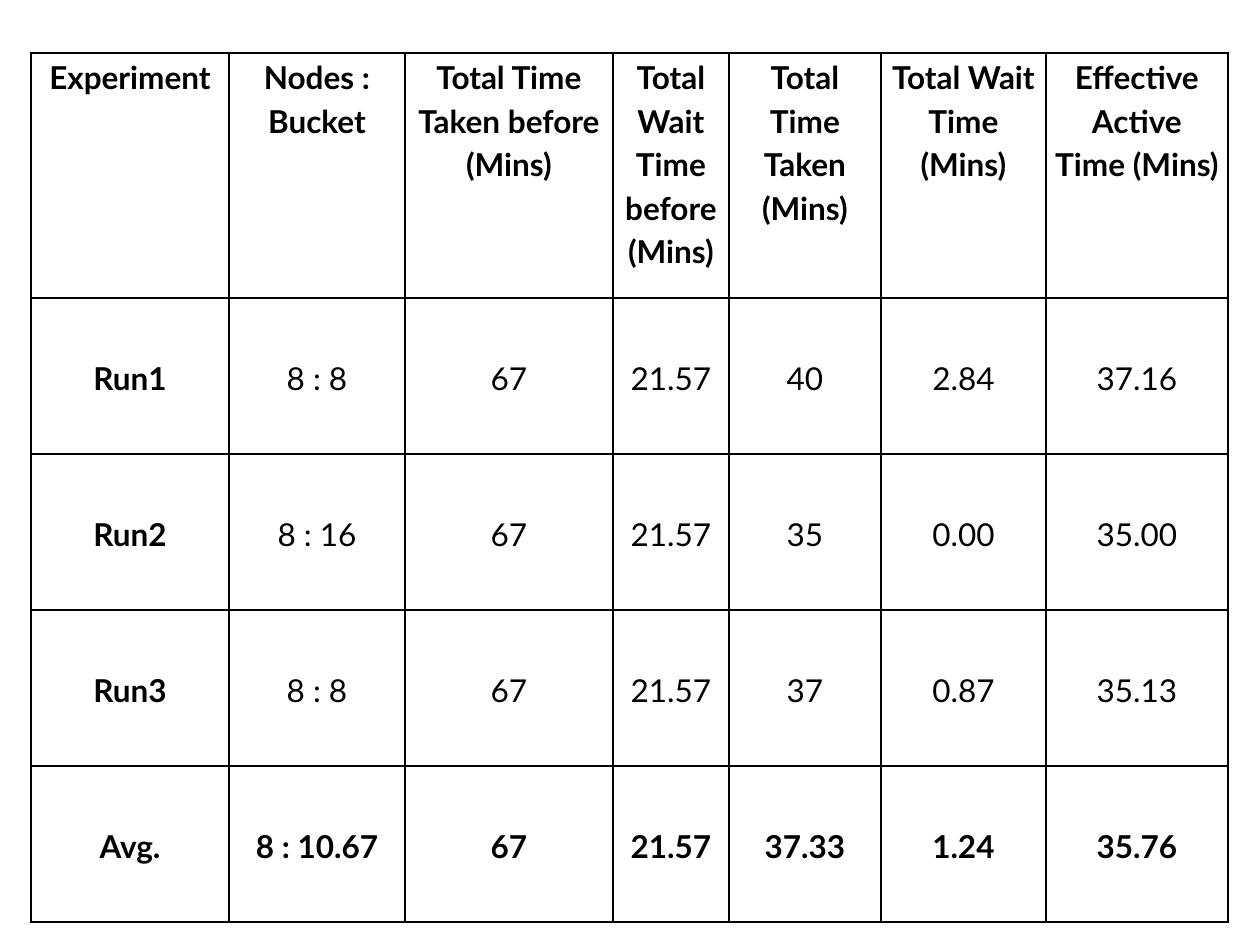
from dataclasses import dataclass

from lxml.etree import SubElement
from pptx import Presentation
from pptx.dml.color import RGBColor
from pptx.enum.text import MSO_ANCHOR as Anchor, PP_ALIGN as Align
from pptx.oxml.ns import qn
from pptx.util import Emu, Pt

HEADINGS = [
    ["Experiment"],
    ["Nodes : Bucket"],
    ["Total Time Taken before", "(Mins)"],
    ["Total Wait Time", "before", "(Mins)"],
    ["Total Time Taken", "(Mins)"],
    ["Total Wait Time", "(Mins)"],
    ["Effective Active Time (Mins)"],
]
RUNS = [
    ["Run1", "8 : 8", "67", "21.57", "40", "2.84", "37.16"],
    ["Run2", "8 : 16", "67", "21.57", "35", "0.00", "35.00"],
    ["Run3", "8 : 8", "67", "21.57", "37", "0.87", "35.13"],
]
AVERAGES = ["Avg.", "8 : 10.67", "67", "21.57", "37.33", "1.24", "35.76"]

SLIDE_WIDTH, SLIDE_HEIGHT = 1260, 945
LEFT, TOP = 31, 53
COLUMN_WIDTHS = [198, 176, 208, 116, 152, 165, 182]
HEADING_HEIGHT, BODY_HEIGHT = 245, 156
SIDE_MARGIN = 9


@dataclass(frozen=True)
class Theme:
    font: str = "Lato"
    size: int = 18
    ink: str = "000000"
    border: int = 1
    line_spacing: float = 1.15


THEME = Theme()


def px(length):
    return Emu(length * 914400 // 126)


def add_borders(cell):
    properties = cell._tc.get_or_add_tcPr()
    for side in ("a:lnL", "a:lnR", "a:lnT", "a:lnB"):
        line = SubElement(properties, qn(side), w=str(Pt(THEME.border)))
        solid = SubElement(line, qn("a:solidFill"))
        SubElement(solid, qn("a:srgbClr"), val=THEME.ink)


def fill_cell(cell, lines, bold, anchor):
    cell.margin_left = cell.margin_right = px(SIDE_MARGIN)
    cell.margin_top = cell.margin_bottom = 0
    cell.vertical_anchor = anchor
    add_borders(cell)
    cell.fill.background()
    frame = cell.text_frame
    for index, line in enumerate(lines):
        paragraph = frame.add_paragraph() if index else frame.paragraphs[0]
        paragraph.alignment = Align.CENTER
        paragraph.line_spacing = THEME.line_spacing
        run = paragraph.add_run()
        run.text = line
        run.font.name = THEME.font
        run.font.size = Pt(THEME.size)
        run.font.bold = bold
        run.font.color.rgb = RGBColor.from_string(THEME.ink)


def add_results(slide):
    body = RUNS + [AVERAGES]
    heights = [HEADING_HEIGHT] + [BODY_HEIGHT] * len(body)
    results = slide.shapes.add_table(
        len(heights), len(COLUMN_WIDTHS), px(LEFT), px(TOP),
        px(sum(COLUMN_WIDTHS)), px(sum(heights))).table
    results.first_row = results.horz_banding = False
    for column, width in zip(results.columns, COLUMN_WIDTHS):
        column.width = px(width)
    for row, height in zip(results.rows, heights):
        row.height = px(height)

    for column, lines in enumerate(HEADINGS):
        fill_cell(results.cell(0, column), lines, True, Anchor.TOP)
    for row, values in enumerate(body, start=1):
        for column, value in enumerate(values):
            bold = column == 0 or values is AVERAGES
            fill_cell(results.cell(row, column), [value], bold, Anchor.MIDDLE)


def main():
    deck = Presentation()
    deck.slide_width, deck.slide_height = px(SLIDE_WIDTH), px(SLIDE_HEIGHT)
    add_results(deck.slides.add_slide(deck.slide_layouts[6]))
    deck.save("out.pptx")


if __name__ == "__main__":
    main()
